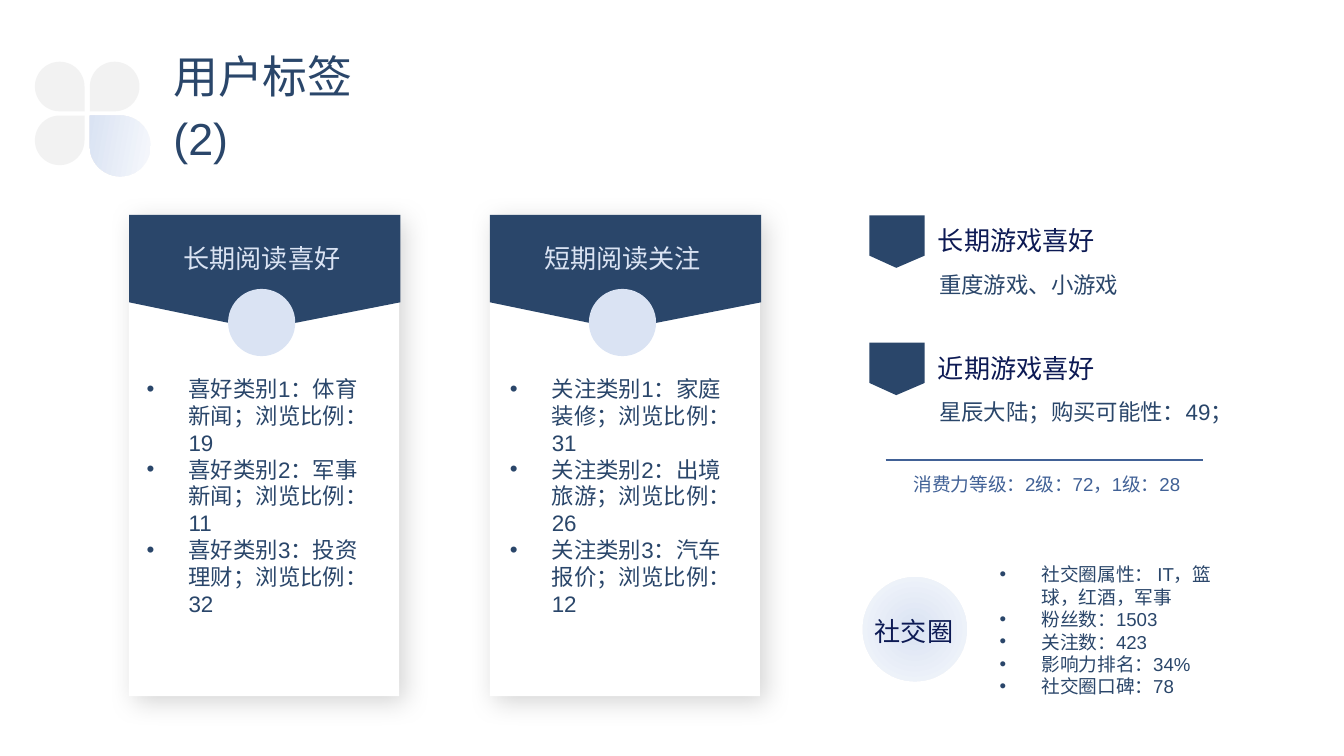
from lxml.etree import SubElement as Sub
from pptx import Presentation
from pptx.dml.color import RGBColor
from pptx.enum.shapes import MSO_CONNECTOR as Conn, MSO_SHAPE as Kind
from pptx.enum.text import MSO_ANCHOR as Anchor, MSO_AUTO_SIZE as Auto, PP_ALIGN as Align
from pptx.oxml.ns import qn
from pptx.util import Pt

NAVY, BLUE, INK = "2A466A", "416196", "0D1A54"
PALE, MIST, GREY, WHITE = "DAE3F3", "F6F8FC", "F2F2F2", "FFFFFF"


def color(code):
    return RGBColor.from_string(code)


def place(item, box):
    item.left, item.top, item.width, item.height = map(Pt, box)


def paint(item, code):
    item.shadow.inherit = False
    item.line.fill.background()
    item.fill.solid()
    item.fill.fore_color.rgb = color(code)


def shape(shapes, kind, box, code):
    item = shapes.add_shape(kind, *map(Pt, box))
    paint(item, code)
    return item


def blend(item, first, last):
    item.fill.gradient()
    for stop, code in zip(item.fill.gradient_stops, (first, last)):
        stop.color.rgb = color(code)


def radial(item):
    """Turn a linear gradient into one that spreads from the centre."""
    grad = item.element.spPr.find(qn("a:gradFill"))
    grad.remove(grad.find(qn("a:lin")))
    way = Sub(grad, qn("a:path"), path="circle")
    Sub(way, qn("a:fillToRect"), l="50000", t="50000", r="50000", b="50000")


def shade(item):
    """Give a card its soft outer shadow."""
    fx = item.element.spPr.find(qn("a:effectLst"))
    outer = Sub(fx, qn("a:outerShdw"), blurRad=str(Pt(14)), dist=str(Pt(4)),
                dir=str(45 * 60000), algn="tl", rotWithShape="0")
    tint = Sub(outer, qn("a:srgbClr"), val="000000")
    Sub(tint, qn("a:alpha"), val="16000")


def flag(shapes, x, y, wide, side, tip):
    """Draw a banner whose lower edge runs down to a point."""
    pen = shapes.build_freeform(Pt(x), Pt(y))
    spots = [(x + wide, y), (x + wide, y + side), (x + wide * 0.487, y + tip), (x, y + side)]
    pen.add_line_segments([(Pt(a), Pt(b)) for a, b in spots])
    paint(pen.convert_to_shape(), NAVY)


def style(para, size, code, align=Align.LEFT):
    para.alignment = align
    para.space_before = Pt(0)
    for run in para.runs:
        run.font.name = "Arial"
        run.font.size = Pt(size)
        run.font.color.rgb = color(code)


def label(shapes, box, text, size, code, align=Align.LEFT):
    frame = shapes.add_textbox(*map(Pt, box)).text_frame
    frame.word_wrap = True
    frame.text = text
    style(frame.paragraphs[0], size, code, align)


def bullets(item, rows, size):
    frame = item.text_frame
    frame.word_wrap = True
    frame.auto_size = Auto.NONE
    frame.text = "\n".join(rows)
    for para in frame.paragraphs:
        props = para._p.get_or_add_pPr()
        props.set("marL", str(Pt(58.5)))
        props.set("indent", str(Pt(-22.5)))
        Sub(props, qn("a:buFont"), typeface="Arial")
        Sub(props, qn("a:buChar"), char="•")
        style(para, size, NAVY)


def petals(shapes):
    group = shapes.add_group_shape().shapes
    leaves = [(18.7, 61.9, 26.6, ""), (48.2, 33.1, 26.6, "HV"),
              (18.7, 33.1, 26.6, "V"), (48.2, 61.9, 32.6, "H")]
    for x, y, size, flips in leaves:
        leaf = shape(group, Kind.TEAR, (x, y, size, size), GREY)
        for axis in flips:
            leaf.element.spPr.xfrm.set("flip" + axis, "1")
    blend(leaf, MIST, PALE)
    leaf.fill.gradient_angle = 10


def heading(item):
    place(item, (85.7, 28.1, 362.9, 61.9))
    frame = item.text_frame
    frame.auto_size = Auto.NONE
    frame.vertical_anchor = Anchor.MIDDLE
    frame.text = "用户标签\n(2)"
    for para in frame.paragraphs:
        style(para, 24, NAVY)
        para.line_spacing = 0.9
    para.space_before = Pt(7.5)


def card(shapes, x, name, body, left, rows):
    shade(shape(shapes, Kind.RECTANGLE, (x, 115.2, 144.8, 257.8), WHITE))
    flag(shapes, x, 115.2, 145.4, 46.8, 61.4)
    shape(shapes, Kind.OVAL, (x + 53.1, 154.8, 36, 36), PALE)
    label(shapes, (x + 12.2, 126.4, 118, 22.3), name, 14, PALE, Align.CENTER)
    # The list has to lie in front of its card
    shapes.element.append(body.element)
    place(body, (left, 197.3, 169.2, 138.2))
    bullets(body, rows, 12)


def game(shapes, y, name, text):
    flag(shapes, 465.8, y, 29.5, 21.6, 28.1)
    label(shapes, (495.4, y + 1.4, 118, 22.3), name, 14, INK)
    label(shapes, (496.1, y + 26.3, 187.2, 21.6), text, 12, NAVY)


def main():
    deck = Presentation()
    deck.slide_width, deck.slide_height = Pt(720), Pt(405)
    slide = deck.slides.add_slide(deck.slide_layouts[3])
    shapes = slide.shapes
    title, first, second = slide.placeholders

    # Title with its flower
    petals(shapes)
    heading(title)

    # Reading cards
    card(shapes, 69.1, "长期阅读喜好", first, 35.3,
         ["喜好类别1：体育新闻；浏览比例：19",
          "喜好类别2：军事新闻；浏览比例：11",
          "喜好类别3：投资理财；浏览比例：32"])
    card(shapes, 262.4, "短期阅读关注", second, 229.9,
         ["关注类别1：家庭装修；浏览比例：31",
          "关注类别2：出境旅游；浏览比例：26",
          "关注类别3：汽车报价；浏览比例：12"])

    # Games and spending
    game(shapes, 115.4, "长期游戏喜好", "重度游戏、小游戏")
    game(shapes, 183.6, "近期游戏喜好", "星辰大陆；购买可能性：49；")
    rule = shapes.add_connector(Conn.STRAIGHT, Pt(474.5), Pt(246.4), Pt(644.4), Pt(246.4))
    rule.line.color.rgb = color(BLUE)
    rule.line.width = Pt(1)
    Sub(rule._element.spPr, qn("a:effectLst"))
    label(shapes, (482.4, 249.8, 187.2, 19.4), "消费力等级：2级：72，1级：28", 10, BLUE)

    # Social circle
    disc = shape(shapes, Kind.OVAL, (462.2, 309.2, 55.8, 55.8), PALE)
    blend(disc, PALE, MIST)
    radial(disc)
    label(shapes, (461.5, 326, 68.4, 22.3), "社交圈", 14, INK)
    facts = shapes.add_textbox(*map(Pt, (492.5, 298.1, 170.6, 79.9)))
    bullets(facts, ["社交圈属性： IT，篮球，红酒，军事", "粉丝数：1503", "关注数：423",
                    "影响力排名：34%", "社交圈口碑：78"], 10)

    deck.save("out.pptx")


if __name__ == "__main__":
    main()
